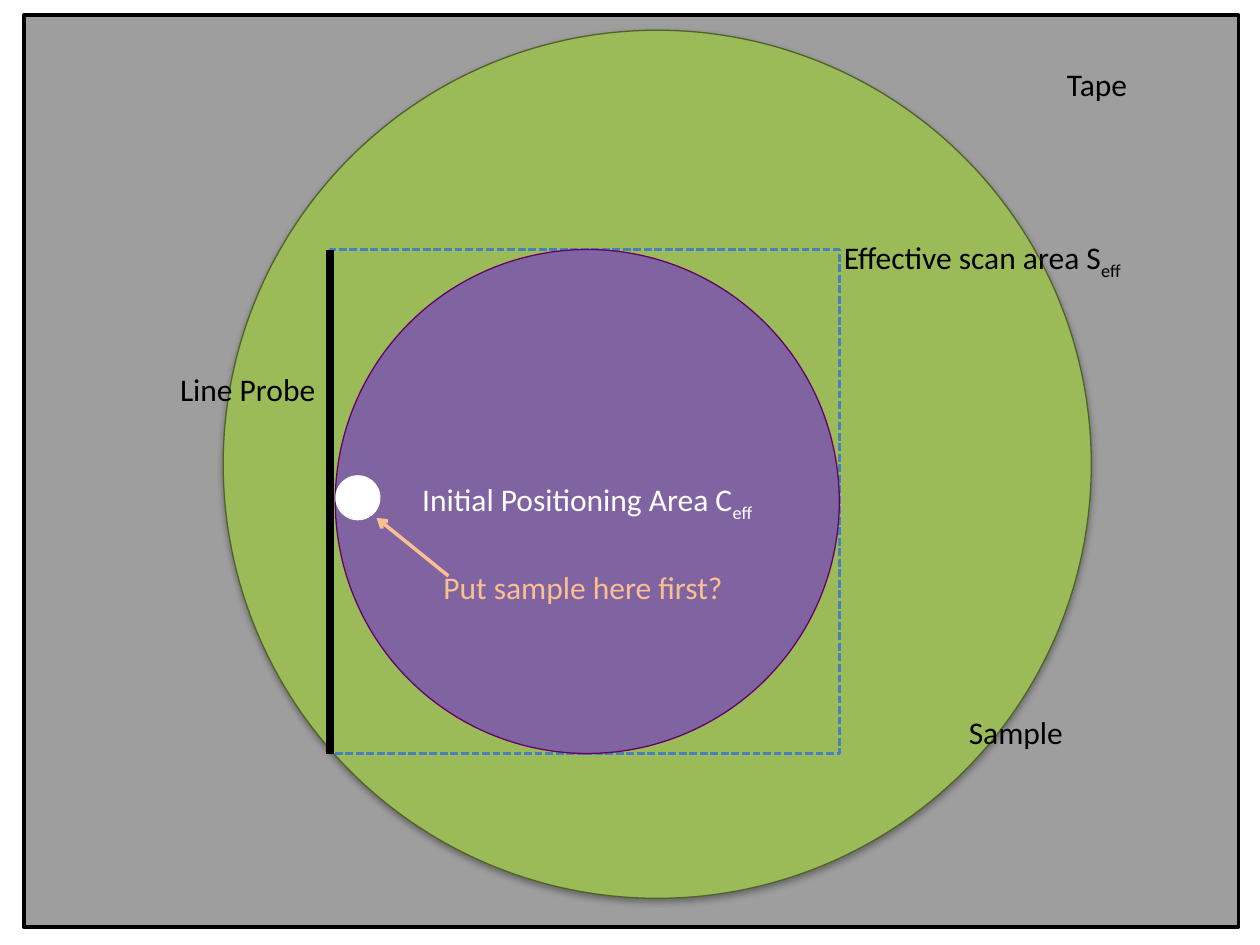
from dataclasses import dataclass
from lxml.etree import SubElement
from pptx import Presentation
from pptx.dml.color import RGBColor
from pptx.enum.dml import MSO_LINE
from pptx.enum.shapes import MSO_CONNECTOR, MSO_SHAPE
from pptx.enum.text import MSO_ANCHOR, MSO_AUTO_SIZE, PP_ALIGN
from pptx.oxml.ns import qn
from pptx.util import Cm, Pt


@dataclass(frozen=True)
class Theme:
    font: str = "Calibri"
    size: int = 18
    black: str = "000000"
    white: str = "FFFFFF"
    sample: str = "9BBB59"
    sample_edge: str = "4F6228"
    scan_edge: str = "4B7EBC"
    area: str = "8064A2"
    area_edge: str = "660066"
    hint: str = "FAC090"


T = Theme()

SLIDE = (25.4, 19.05)
TAPE = (0.48, 0.3, 24.49, 18.39)
SAMPLE = (4.5, 0.61, 17.5, 17.5)
PROBE_X, SCAN_TOP, SCAN_SIDE = 6.65, 5.03, 10.16
GAP = 0.11
SPOT_TOP, SPOT_SIDE = 9.58, 0.91
ARROW = (9.04, 11.61, 7.59, 10.44)
AREA_TEXT = ("Initial Positioning Area C", "eff")
LABEL_HEIGHT = 1.02
LABELS = [
    (3.38, 7.34, 3.28, T.black, ("Line Probe",)),
    (16.76, 4.67, 6.27, T.black, ("Effective scan area S", "eff")),
    (19.28, 14.25, 2.44, T.black, ("Sample",)),
    (21.26, 1.19, 1.78, T.black, ("Tape",)),
    (8.69, 11.33, 6.22, T.hint, ("Put sample here first?",)),
]


def cm(lengths):
    return [Cm(v) for v in lengths]


def rgb(color):
    return RGBColor.from_string(color)


def set_line(line, color, width):
    line.color.rgb = rgb(color)
    line.width = Pt(width)


def add_shape(kind, box, fill=None, edge=None, width=0.75):
    sp = s.shapes.add_shape(kind, *cm(box))
    sp.shadow.inherit = False
    if fill:
        sp.fill.solid()
        sp.fill.fore_color.rgb = rgb(fill)
    else:
        sp.fill.background()
    if edge:
        set_line(sp.line, edge, width)
    else:
        sp.line.fill.background()
    return sp


def add_line(ends, color, width):
    cx = s.shapes.add_connector(MSO_CONNECTOR.STRAIGHT, *cm(ends))
    set_line(cx.line, color, width)
    SubElement(cx._element.spPr, qn("a:effectLst"))
    return cx


def write(tf, parts, color):
    p = tf.paragraphs[0]
    for i, part in enumerate(parts):
        r = p.add_run()
        r.text = part
        r.font.name = T.font
        r.font.size = Pt(T.size)
        r.font.color.rgb = rgb(color)
        if i:
            r.font._element.set("baseline", "-25000")
    return p


def add_shadow(sp):
    effects = sp._element.spPr.find(qn("a:effectLst"))
    shadow = SubElement(effects, qn("a:outerShdw"), blurRad=str(Pt(3.1)),
                        dist=str(Pt(1.8)), dir="5400000", rotWithShape="0")
    color = SubElement(shadow, qn("a:srgbClr"), val=T.black)
    SubElement(color, qn("a:alpha"), val="35000")


prs = Presentation()
prs.slide_width, prs.slide_height = cm(SLIDE)
s = prs.slides.add_slide(prs.slide_layouts[6])

tape = add_shape(MSO_SHAPE.RECTANGLE, TAPE, T.black, T.black, 2)
tape_color = tape._element.spPr.find(qn("a:solidFill"))[0]
SubElement(tape_color, qn("a:alpha"), val="38000")

sample = add_shape(MSO_SHAPE.OVAL, SAMPLE, T.sample, T.sample_edge)
add_shadow(sample)

scan = add_shape(MSO_SHAPE.RECTANGLE, (PROBE_X, SCAN_TOP, SCAN_SIDE + GAP, SCAN_SIDE),
                 edge=T.scan_edge, width=1.5)
scan.line.dash_style = MSO_LINE.SQUARE_DOT
add_line((PROBE_X, SCAN_TOP, PROBE_X, SCAN_TOP + SCAN_SIDE), T.black, 4.5)

area = add_shape(MSO_SHAPE.OVAL, (PROBE_X + GAP, SCAN_TOP, SCAN_SIDE, SCAN_SIDE),
                 T.area, T.area_edge)
area.text_frame.vertical_anchor = MSO_ANCHOR.MIDDLE
write(area.text_frame, AREA_TEXT, T.white).alignment = PP_ALIGN.CENTER

add_shape(MSO_SHAPE.OVAL, (PROBE_X + GAP, SPOT_TOP, SPOT_SIDE, SPOT_SIDE), T.white)
arrow = add_line(ARROW, T.hint, 2)
SubElement(arrow._element.spPr.find(qn("a:ln")), qn("a:tailEnd"), type="arrow")

for left, top, width, color, parts in LABELS:
    tf = s.shapes.add_textbox(*cm((left, top, width, LABEL_HEIGHT))).text_frame
    tf.word_wrap = False
    tf.auto_size = MSO_AUTO_SIZE.SHAPE_TO_FIT_TEXT
    write(tf, parts, color)

prs.save("out.pptx")
